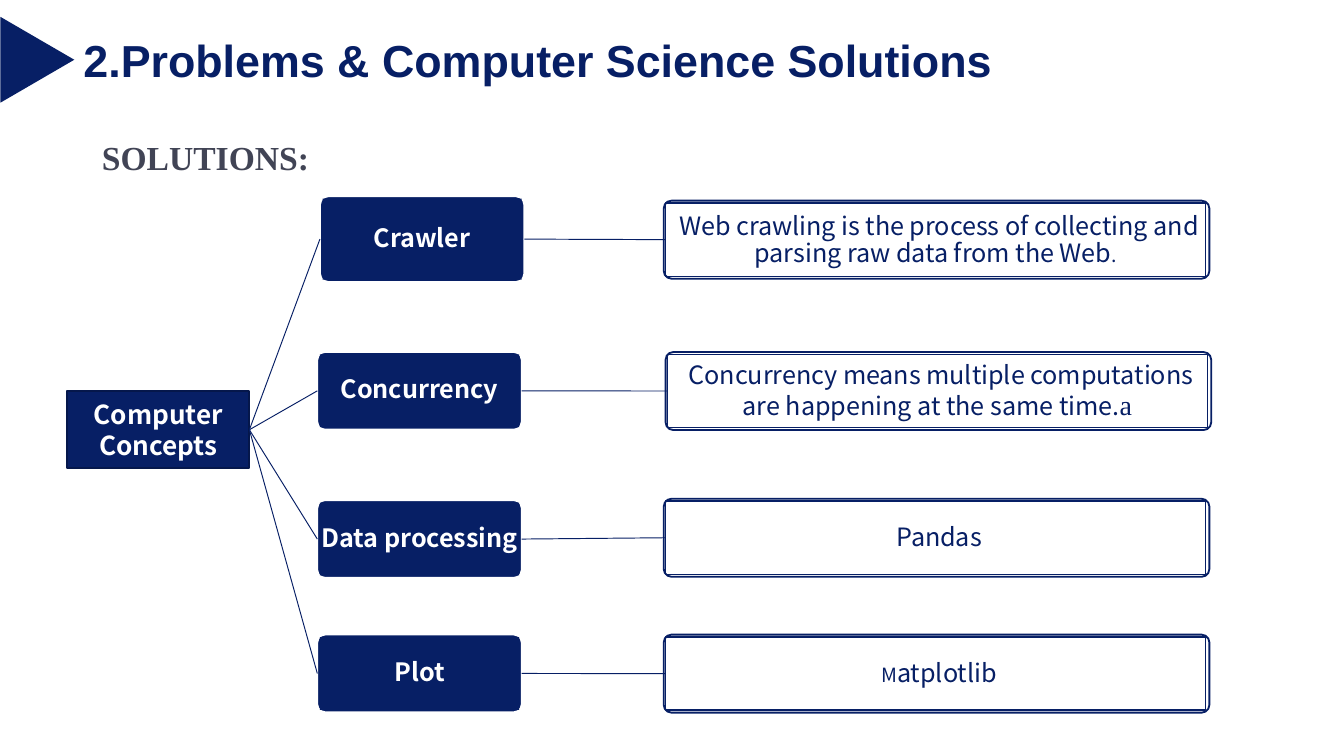
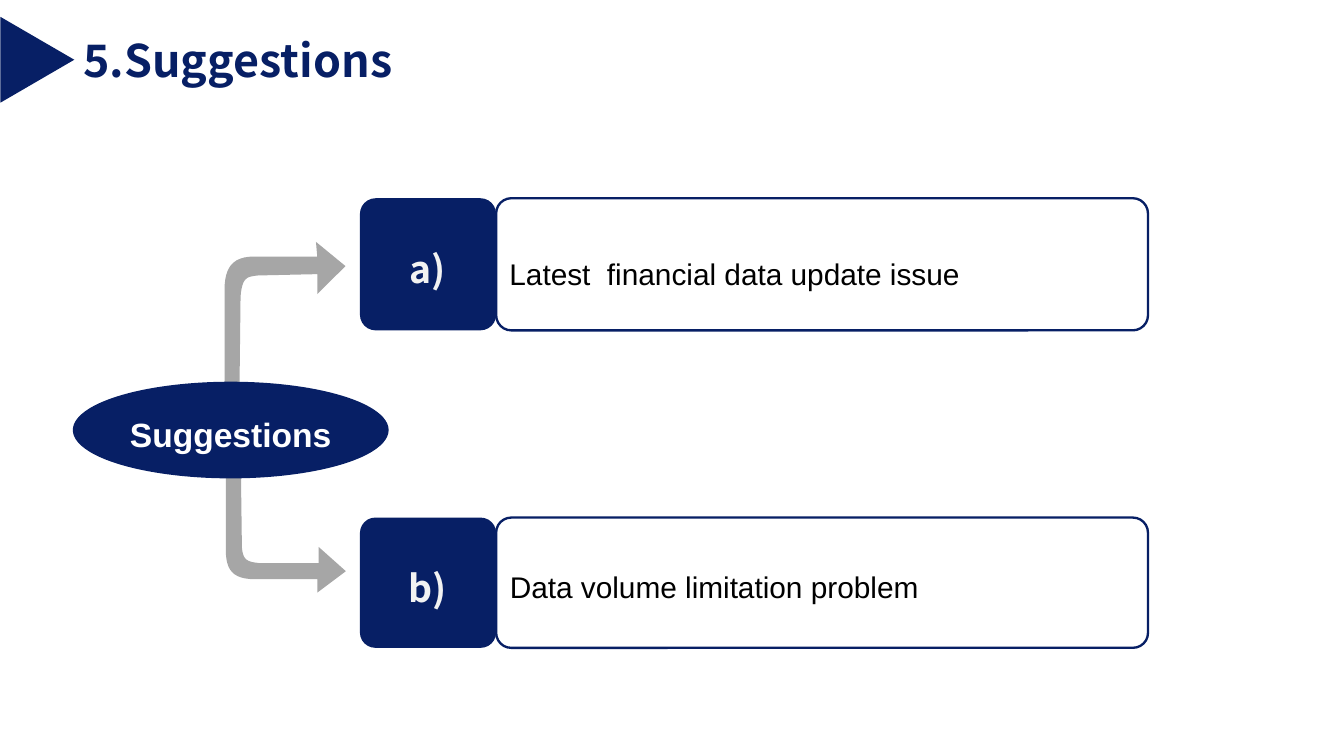
from lxml import etree
from pptx import Presentation
from pptx.dml.color import RGBColor
from pptx.enum.shapes import MSO_CONNECTOR, MSO_SHAPE
from pptx.enum.text import MSO_ANCHOR, MSO_AUTO_SIZE, PP_ALIGN
from pptx.oxml.ns import qn
from pptx.util import Pt

RECT, ROUND = MSO_SHAPE.RECTANGLE, MSO_SHAPE.ROUNDED_RECTANGLE
OVAL, TRIANGLE = MSO_SHAPE.OVAL, MSO_SHAPE.ISOSCELES_TRIANGLE
STRAIGHT = MSO_CONNECTOR.STRAIGHT
LEFT, CENTER, JUSTIFY = PP_ALIGN.LEFT, PP_ALIGN.CENTER, PP_ALIGN.JUSTIFY
TOP, MIDDLE = MSO_ANCHOR.TOP, MSO_ANCHOR.MIDDLE
FIXED = MSO_AUTO_SIZE.NONE
LEFT_SIDE, RIGHT_SIDE = 1, 3
TITLE_ONLY = 5

NAVY, NAVY_EDGE, WHITE = "071F65", "05174B", "FFFFFF"
BLACK, SLATE, GREY, PALE = "000000", "414455", "A6A6A6", "F2F2F2"
ARIAL, NOTO, TIMES = "Arial", "Noto Sans CJK SC", "Times New Roman"
TIGHT, SNUG, ROOMY = (0.72, 0.72), (5, 2.2), (7.2, 3.6)


def color(hex_code):
    return RGBColor.from_string(hex_code)


def paint(shape, fill=None, line=None, width=1):
    shape.shadow.inherit = False
    if fill:
        shape.fill.solid()
        shape.fill.fore_color.rgb = color(fill)
    else:
        shape.fill.background()
    if line:
        shape.line.color.rgb = color(line)
        shape.line.width = Pt(width)
    else:
        shape.line.fill.background()


def add_block(shapes, kind, box, fill=None, line=None, width=1, corner=None):
    block = shapes.add_shape(kind, *map(Pt, box))
    paint(block, fill, line, width)
    if corner is not None:
        block.adjustments[0] = corner
    return block


def write(shape, paragraphs, align=LEFT, anchor=MIDDLE, spacing=1.0,
          insets=ROOMY, wrap=True):
    frame = shape.text_frame
    frame.auto_size = FIXED
    frame.word_wrap = wrap
    frame.vertical_anchor = anchor
    frame.margin_left = frame.margin_right = Pt(insets[0])
    frame.margin_top = frame.margin_bottom = Pt(insets[1])
    for index, runs in enumerate(paragraphs):
        paragraph = frame.add_paragraph() if index else frame.paragraphs[0]
        paragraph.alignment = align
        paragraph.line_spacing = spacing
        for text, font, size, ink, bold in runs:
            run = paragraph.add_run()
            run.text = text
            run.font.name = font
            run.font.size = Pt(size)
            run.font.color.rgb = color(ink)
            run.font.bold = bold


def add_label(slide, box, runs, spacing):
    label = slide.shapes.add_textbox(*map(Pt, box))
    write(label, [runs], anchor=TOP, spacing=spacing)


def add_header(slide, heading, font, width):
    title = slide.shapes.title
    title.left, title.top, title.width, title.height = map(
        Pt, (37.5, 13.7, width, 36))
    write(title, [[(heading, font, 24, NAVY, True)]], wrap=False)
    marker = add_block(slide.shapes, TRIANGLE, (-3, 12.2, 46, 39.6), NAVY)
    marker.rotation = 90


def join(slide, source, target):
    link = slide.shapes.add_connector(STRAIGHT, 0, 0, 0, 0)
    link.begin_connect(source, RIGHT_SIDE)
    link.end_connect(target, LEFT_SIDE)
    link.line.color.rgb = color(NAVY)
    link.line.width = Pt(0.5)
    etree.SubElement(link._element.spPr, qn("a:effectLst"))


def add_topic(slide, box, name):
    left, top, width, height = box
    shapes = slide.shapes.add_group_shape().shapes
    pill = add_block(shapes, ROUND, box, NAVY, WHITE, corner=0.1)
    plate = add_block(shapes, RECT,
                      (left + 1.4, top + 1.3, width - 2.8, height - 2.6), NAVY)
    write(plate, [[(name, NOTO, 13.5, WHITE, True)]], CENTER,
          spacing=0.9, insets=TIGHT)
    return pill


def add_detail(slide, box, runs):
    left, top, width, height = box
    shapes = slide.shapes.add_group_shape().shapes
    add_block(shapes, ROUND, box, line=NAVY, corner=0.1)
    plate = add_block(shapes, RECT,
                      (left + 1, top + 1.3, width - 3, height - 2.6),
                      line=NAVY, width=0.75)
    lead = (" ", TIMES, 15, NAVY, False)
    body = [(text, font, size, NAVY, False) for text, font, size in runs]
    write(plate, [[lead] + body], CENTER, spacing=0.9, insets=TIGHT)
    return plate


def build_solutions(slide):
    add_header(slide, "2.Problems & Computer Science Solutions", ARIAL, 505.5)
    add_label(slide, (47.5, 65.5, 542, 31),
              [("SOLUTIONS:", TIMES, 18, SLATE, True)], 1.2)
    concepts = add_block(slide.shapes, RECT, (36, 209.5, 97.6, 41.5),
                         NAVY, NAVY_EDGE)
    write(concepts, [[(word, NOTO, 14, WHITE, True)]
                     for word in ("Computer", "Concepts")], CENTER)
    rows = [
        ("Crawler", (171.4, 105.1, 109.5, 46), (355.6, 107.5),
         [("Web crawling is the process of collecting and parsing raw data"
           " from the Web", NOTO, 13.5), (".", NOTO, 10.5)]),
        ("Concurrency", (170, 188.6, 109.5, 41.6), (356.6, 188.6),
         [("Concurrency means multiple computations are happening at the"
           " same time.", NOTO, 13.5), ("a", TIMES, 15)]),
        ("Data processing", (170, 268, 109.5, 41.6), (355.6, 267.2),
         [("Pandas", NOTO, 13.5)]),
        ("Plot", (170, 340, 109.5, 41.6), (355.6, 340),
         [("M", NOTO, 10.5), ("atplotlib", NOTO, 13.5)]),
    ]
    for name, topic_box, detail_corner, runs in rows:
        topic = add_topic(slide, topic_box, name)
        detail = add_detail(slide, (*detail_corner, 292.3, 41.8), runs)
        join(slide, concepts, topic)
        join(slide, topic, detail)


def bezier(start, first, second, end, steps=12):
    for step in range(1, steps + 1):
        t = step / steps
        u = 1 - t
        yield tuple(u**3 * a + 3 * u * u * t * b + 3 * u * t * t * c + t**3 * d
                    for a, b, c, d in zip(start, first, second, end))


def add_bent_arrow(slide, origin, start, segments):
    points = [start]
    for segment in segments:
        if len(segment) == 3:
            points.extend(bezier(points[-1], *segment))
        else:
            points.extend(segment)
    placed = [(Pt(origin[0] + x), Pt(origin[1] + y)) for x, y in points]
    builder = slide.shapes.build_freeform(*placed[0])
    builder.add_line_segments(placed[1:], close=True)
    paint(builder.convert_to_shape(), GREY)


def add_suggestion(slide, box, letter, runs=None):
    left, top, width, height = box
    tab_width = 73
    panel = add_block(slide.shapes, ROUND,
                      (left + tab_width, top, width - tab_width, height),
                      line=NAVY, width=1.25, corner=0.115)
    if runs:
        write(panel, [runs], JUSTIFY, spacing=1.2, insets=SNUG)
    tab = add_block(slide.shapes, ROUND, (left, top, tab_width, height),
                    NAVY, corner=0.119)
    write(tab, [[(letter, NOTO, 20, PALE, True)]], CENTER,
          spacing=1.2, insets=SNUG)


def build_suggestions(slide):
    add_header(slide, "5.Suggestions", NOTO, 186)
    add_bent_arrow(slide, (121, 227.5), (7.9, 10.8), [
        [(8.6, 64)], [(8.6, 73.4), (12.2, 73.4), (18, 74.2)],
        [(49.7, 74.2)], [(49.7, 65.5)], [(64.3, 78.5)], [(49, 90)],
        [(49, 82.8)], [(15.8, 82.8)],
        [(3.6, 82.8), (0, 77.8), (0, 67)], [(0, 9.4)],
        [(0.7, 0), (5.8, 0.7), (7.9, 10.8)]])
    add_bent_arrow(slide, (120.3, 129.6), (7.9, 91.4), [
        [(8.6, 29.5)], [(9.4, 18.7), (12.2, 18.7), (18, 18)],
        [(49.7, 17.3)], [(49.7, 28)], [(64.8, 13)], [(49, 0)],
        [(49.7, 7.9)], [(15.8, 7.9)],
        [(4.3, 7.9), (0, 13.7), (0, 26)], [(0, 93)],
        [(1.4, 103.7), (6.5, 103), (7.9, 91.4)]])
    add_suggestion(slide, (192.8, 106.2, 422.2, 70.8), "a)")
    add_suggestion(slide, (192.8, 277.3, 422.2, 69.8), "b)",
                   [("Data volume limitation problem", ARIAL, 16, BLACK,
                     False)])
    add_label(slide, (265.8, 127.5, 358, 29.5),
              [("Latest  financial data update issue", ARIAL, 16, BLACK,
                False)], 1.3)
    hub = add_block(slide.shapes, OVAL, (39, 204.5, 169.2, 51.8), NAVY)
    write(hub, [[("Suggestions", ARIAL, 18, WHITE, True)]], CENTER,
          spacing=1.2, insets=SNUG)


def main():
    deck = Presentation()
    deck.slide_width, deck.slide_height = Pt(720), Pt(405)
    for build in (build_solutions, build_suggestions):
        build(deck.slides.add_slide(deck.slide_layouts[TITLE_ONLY]))
    deck.save("out.pptx")


if __name__ == "__main__":
    main()
